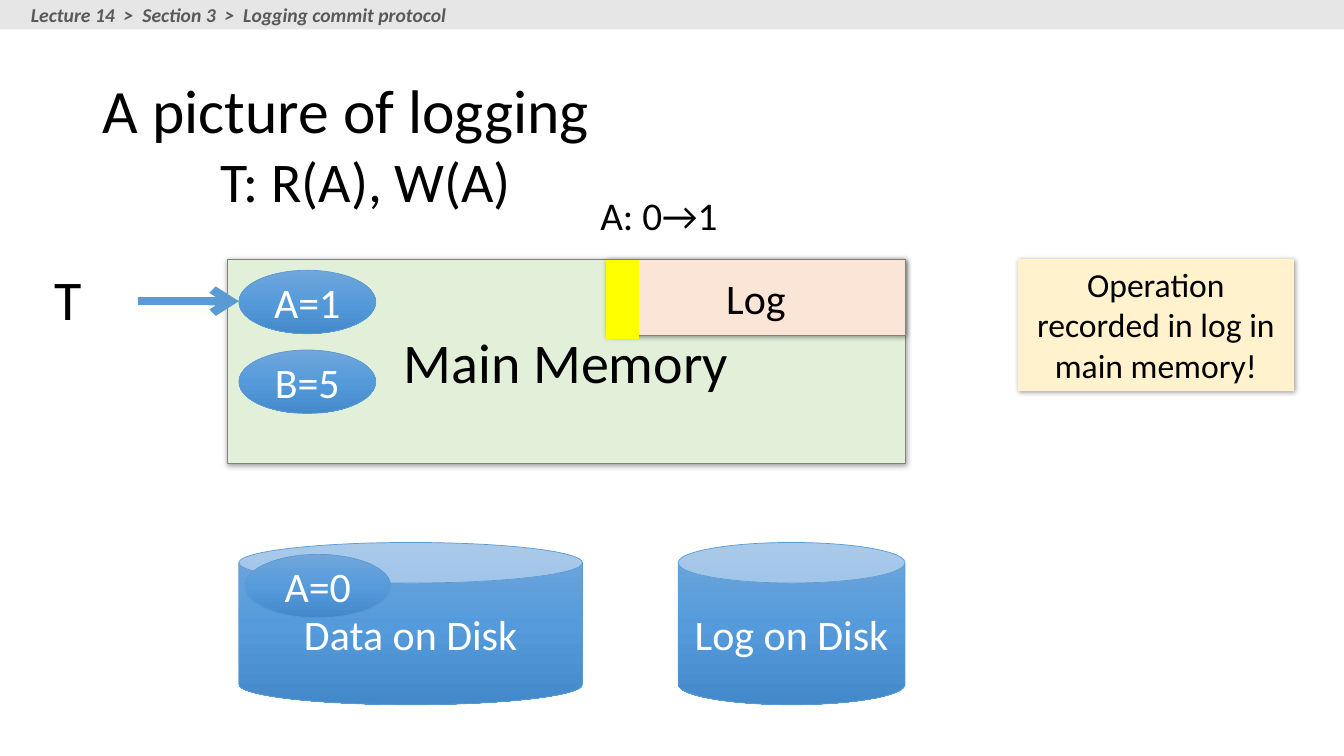
from dataclasses import dataclass
from lxml import etree
from pptx import Presentation
from pptx import util as u
from pptx.dml import color
from pptx.enum import shapes, text
from pptx.oxml import ns, parse_xml

KIND = shapes.MSO_SHAPE
LEFT, CENTER = text.PP_ALIGN.LEFT, text.PP_ALIGN.CENTER
TOP, MIDDLE = text.MSO_ANCHOR.TOP, text.MSO_ANCHOR.MIDDLE
DRAWING = 'xmlns:a="%s"' % ns.nsuri("a")


@dataclass(frozen=True)
class Theme:
    """Colours and type sizes of the deck."""
    font: str = "Calibri"
    ink: str = "000000"
    white: str = "FFFFFF"
    blue: str = "5B9BD5"
    gradient: tuple = ((0, "71A6DB"), (50, "559BDB"), (100, "448ACA"))
    memory: str = "E2F0D9"
    log: str = "FBE5D6"
    edge: str = "808080"
    entry: str = "FFFF00"
    note: str = "FFF2CC"
    bar: str = "E7E6E6"
    crumb: str = "595959"
    title_size: int = 44
    big_size: int = 40
    label_size: int = 30
    entry_size: int = 28
    note_size: int = 24
    crumb_size: int = 14


THEME = Theme()


def rgb(value):
    """Turn a hex string into a colour."""
    return color.RGBColor.from_string(value)


def write(shape, words, size, ink=THEME.ink, align=CENTER, anchor=MIDDLE,
          wrap=True, **extras):
    """Put one formatted paragraph into a shape."""
    frame = shape.text_frame
    formats = {"word_wrap": wrap, "vertical_anchor": anchor,
               "auto_size": text.MSO_AUTO_SIZE.NONE}
    for name, value in formats.items():
        setattr(frame, name, value)
    para = frame.paragraphs[0]
    para.alignment = align
    span = para.add_run()
    span.text = words
    formats = {"name": THEME.font, "size": u.Pt(size), **extras}
    for name, value in formats.items():
        setattr(span.font, name, value)
    span.font.color.rgb = rgb(ink)
    return para


def add_label(page, box, words, size, **formats):
    """Add a free text box."""
    label = page.shapes.add_textbox(*map(u.Cm, box))
    write(label, words, size, **{"anchor": TOP, **formats})


def add_block(page, kind, box, fill, line=None, shadow=False):
    """Add a preset shape with a plain fill and an optional soft shadow."""
    block = page.shapes.add_shape(kind, *map(u.Cm, box))
    block.shadow.inherit = False
    block.fill.solid()
    block.fill.fore_color.rgb = rgb(fill)
    if line:
        block.line.color.rgb = rgb(line)
        block.line.width = u.Pt(0.5)
    else:
        block.line.fill.background()
    if shadow:
        effects = block._element.spPr.find(ns.qn("a:effectLst"))
        effects.append(parse_xml(
            f'<a:outerShdw {DRAWING} blurRad="{u.Pt(4)}" dist="{u.Pt(1)}" '
            'dir="2700000" rotWithShape="0"><a:srgbClr val="000000">'
            '<a:alpha val="40000"/></a:srgbClr></a:outerShdw>'))
    return block


def add_store(page, kind, box, words):
    """Add a blue gradient shape that holds a value or a disk name."""
    store = add_block(page, kind, box, THEME.blue, THEME.blue)
    stops = "".join(f'<a:gs pos="{place * 1000}"><a:srgbClr val="{tone}"/></a:gs>'
                    for place, tone in THEME.gradient)
    props = store._element.spPr
    props.replace(props.find(ns.qn("a:solidFill")), parse_xml(
        f'<a:gradFill {DRAWING} rotWithShape="1"><a:gsLst>{stops}</a:gsLst>'
        '<a:lin ang="5400000" scaled="0"/></a:gradFill>'))
    write(store, words, THEME.label_size, THEME.white)


def add_title(page, box):
    """Move and fill the title placeholder."""
    title = page.shapes.title
    for name, value in zip(("left", "top", "width", "height"), box):
        setattr(title, name, u.Cm(value))
    para = write(title, "A picture of logging", THEME.title_size, align=LEFT)
    para.line_spacing = 0.9


def add_breadcrumb(page, box):
    """Draw the grey bar with the lecture path."""
    left, top, width, height = box
    add_block(page, KIND.RECTANGLE, box, THEME.bar)
    add_label(page, (left + 0.53, top - 0.05, 11.02, height + 0.12),
              "Lecture 14  >  Section 3  >  Logging commit protocol",
              THEME.crumb_size, ink=THEME.crumb, align=LEFT, wrap=False,
              bold=True, italic=True)


def add_memory(page, box):
    """Draw main memory with its log, new log entry and values."""
    left, top, width, height = box
    memory = add_block(page, KIND.RECTANGLE, box, THEME.memory, THEME.edge, True)
    write(memory, "Main Memory", THEME.big_size)
    log_width = 7.52
    log_left = left + width - log_width
    log = add_block(page, KIND.RECTANGLE, (log_left, top, log_width, 1.93),
                    THEME.log, THEME.edge, True)
    write(log, "Log", THEME.label_size)
    add_block(page, KIND.RECTANGLE, (log_left, top + 0.03, 0.79, 1.98),
              THEME.entry, THEME.entry)
    add_label(page, (log_left - 0.41, top - 1.83, 4.75, 1.45), "A: 0→1",
              THEME.entry_size, align=LEFT)
    for row, words in enumerate(("A=1", "B=5")):
        add_store(page, KIND.OVAL,
                  (left + 0.3, top + 0.28 + row * 2.01, 3.45, 1.6), words)


def add_transaction(page, box):
    """Draw the transaction, its steps and its arrow into memory."""
    left, top, width, height = box
    add_label(page, (left, top, 3.78, height), "T ", THEME.big_size)
    add_label(page, (left + 4.24, top - 2.95, 10.26, height),
              "T: R(A), W(A) ", THEME.big_size)
    level = u.Cm(top + 1.06)
    arrow = page.shapes.add_connector(shapes.MSO_CONNECTOR.STRAIGHT,
                                      u.Cm(left + 3.48), level,
                                      u.Cm(left + width), level)
    arrow.line.color.rgb = rgb(THEME.blue)
    arrow.line.width = u.Pt(6)
    etree.SubElement(arrow.line._get_or_add_ln(), ns.qn("a:tailEnd"), type="arrow")
    etree.SubElement(arrow._element.spPr, ns.qn("a:effectLst"))


def add_disks(page, box):
    """Draw the data disk with its stored value, and the log disk."""
    left, top, width, height = box
    log_width = 5.72
    add_store(page, KIND.CAN, (left, top, 8.66, height), "Data on Disk")
    add_store(page, KIND.CAN, (left + width - log_width, top, log_width, height),
              "Log on Disk")
    add_store(page, KIND.OVAL, (left + 0.15, top + 0.3, 3.68, 1.6), "A=0")


def add_note(page, box):
    """Draw the remark on the right."""
    note = add_block(page, KIND.RECTANGLE, box, THEME.note, shadow=True)
    write(note, "Operation recorded in log in main memory!", THEME.note_size,
          anchor=TOP)


def main():
    """Build and save the deck."""
    deck = Presentation()
    deck.slide_width, deck.slide_height = u.Cm(33.87), u.Cm(19.05)
    page = deck.slides.add_slide(deck.slide_layouts[5])
    regions = (
        (add_title, (2.34, 1.02, 29.21, 3.68)),
        (add_breadcrumb, (0, 0, 33.87, 0.74)),
        (add_memory, (5.72, 6.53, 17.09, 5.16)),
        (add_transaction, (0, 6.53, 6.02, 1.96)),
        (add_disks, (6.02, 13.67, 16.79, 4.09)),
        (add_note, (25.65, 6.53, 6.96, 3.33)),
    )
    for draw, box in regions:
        draw(page, box)
    deck.save("out.pptx")


main()
